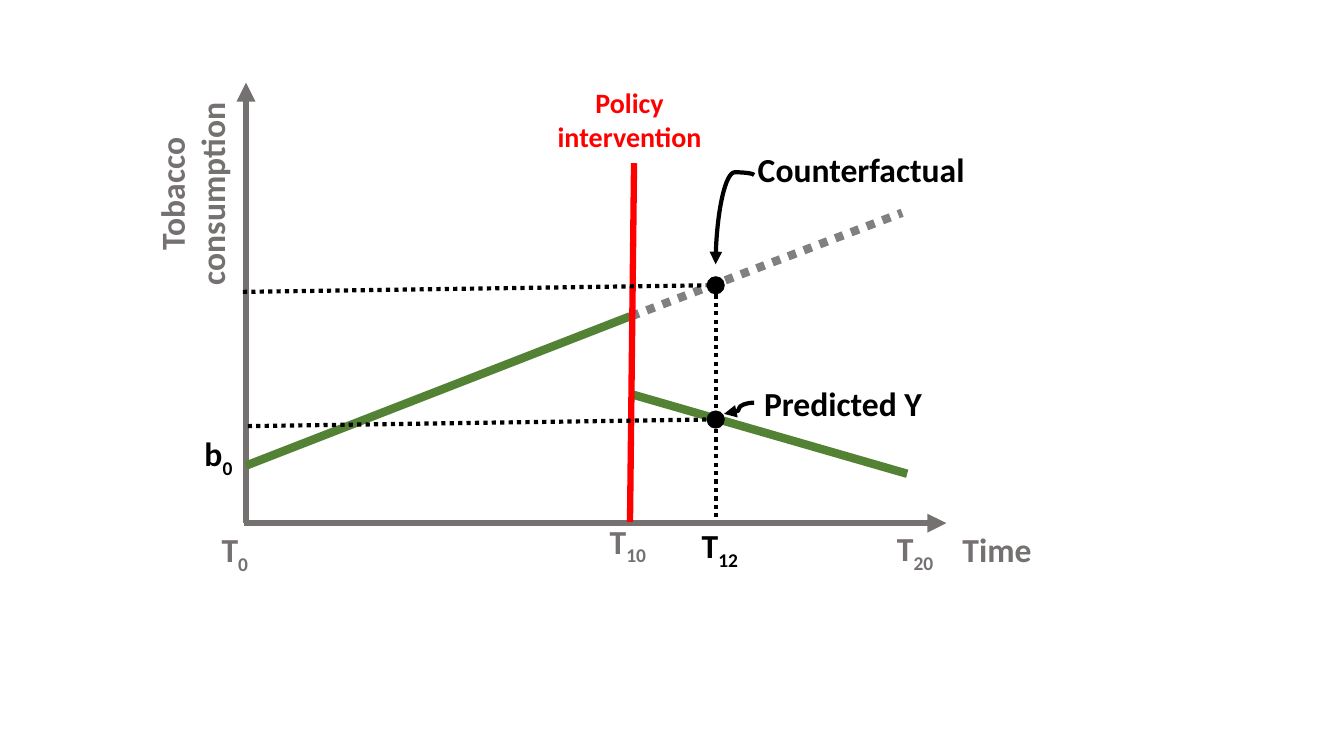
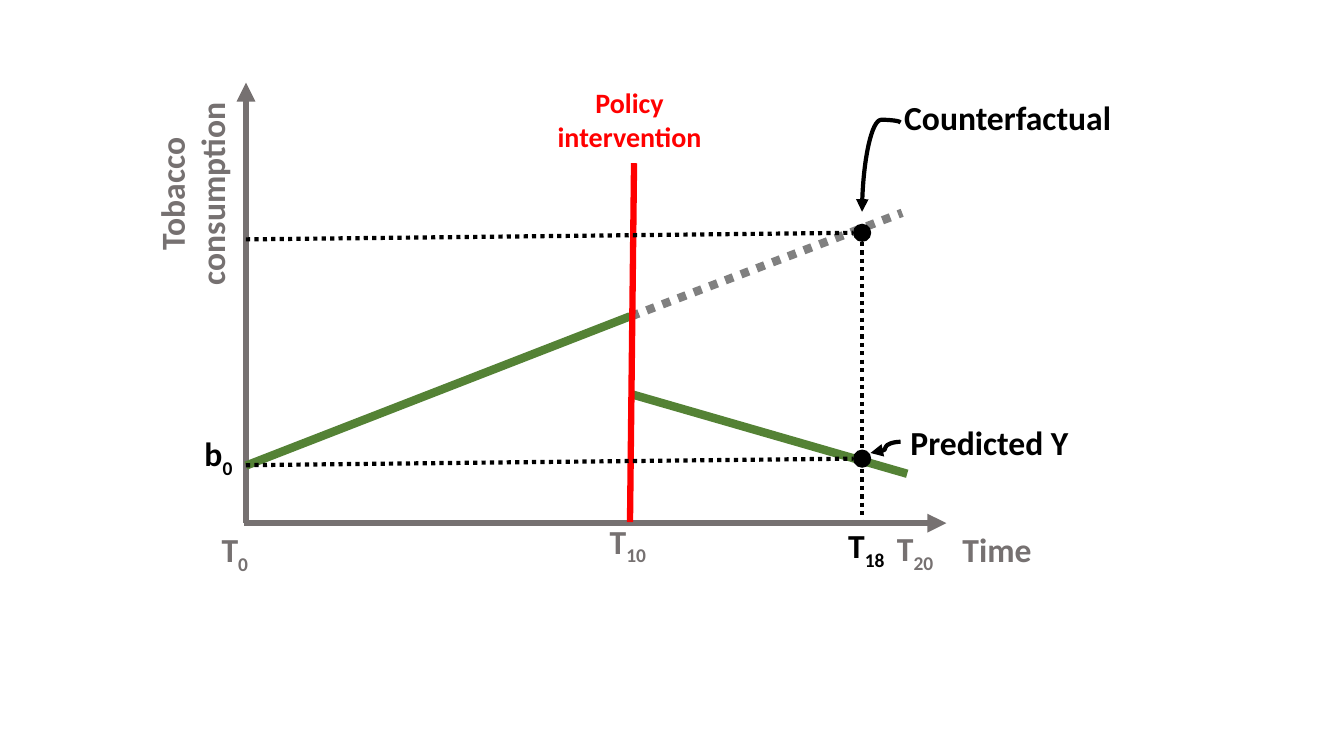
import pptx
import pptx.dml.color
import pptx.enum.dml
import pptx.enum.shapes
import pptx.enum.text
import pptx.oxml.ns
import pptx.util
import lxml.etree

Pt = pptx.util.Pt
qn = pptx.oxml.ns.qn
RGBColor = pptx.dml.color.RGBColor
CONNECTOR = pptx.enum.shapes.MSO_CONNECTOR
ALIGN = pptx.enum.text.PP_ALIGN

BLACK = RGBColor(0x00, 0x00, 0x00)
AXIS_GRAY = RGBColor(0x76, 0x71, 0x71)
TREND_GRAY = RGBColor(0x80, 0x80, 0x80)
GREEN = RGBColor(0x54, 0x82, 0x35)
RED = RGBColor(0xFF, 0x00, 0x00)


class Diagram:
    font = "Calibri"
    label_size = 24
    dot_size = 13

    def __init__(self, presentation):
        self.presentation = presentation
        self.slide = None

    def new_slide(self):
        blank_layout = self.presentation.slide_layouts[6]
        self.slide = self.presentation.slides.add_slide(blank_layout)

    def line(self, start, end, color, width, dotted=False, arrow=None, kind=CONNECTOR.STRAIGHT):
        connector = self.slide.shapes.add_connector(kind, *(Pt(v) for v in start + end))
        connector.line.color.rgb = color
        connector.line.width = Pt(width)
        if dotted:
            connector.line.dash_style = pptx.enum.dml.MSO_LINE.ROUND_DOT
        properties = connector.element.spPr
        if arrow:
            lxml.etree.SubElement(properties.find(qn("a:ln")), qn("a:" + arrow), type="triangle")
        lxml.etree.SubElement(properties, qn("a:effectLst"))
        return connector

    def curve(self, start, end, turned_bend=None):
        if turned_bend is None:
            return self.line(start, end, BLACK, 3, arrow="headEnd", kind=CONNECTOR.CURVE)
        center_x, center_y = (start[0] + end[0]) / 2, (start[1] + end[1]) / 2
        half_width, half_height = abs(end[1] - start[1]) / 2, abs(end[0] - start[0]) / 2
        connector = self.line(
            (center_x + half_width, center_y + half_height),
            (center_x - half_width, center_y - half_height),
            BLACK, 3, arrow="headEnd", kind=CONNECTOR.CURVE)
        properties = connector.element.spPr
        properties.find(qn("a:xfrm")).set("rot", "5400000")
        adjustments = properties.find(qn("a:prstGeom")).find(qn("a:avLst"))
        lxml.etree.SubElement(adjustments, qn("a:gd"), name="adj1", fmla=f"val {turned_bend}")
        return connector

    def label(self, text, left, top, width, height=36, color=BLACK, subscript=None,
              size=label_size, align=ALIGN.LEFT, rotation=0):
        box = self.slide.shapes.add_textbox(Pt(left), Pt(top), Pt(width), Pt(height))
        box.rotation = rotation
        frame = box.text_frame
        frame.word_wrap = True
        frame.auto_size = pptx.enum.text.MSO_AUTO_SIZE.SHAPE_TO_FIT_TEXT
        paragraph = frame.paragraphs[0]
        paragraph.text = text
        paragraph.alignment = align
        if subscript:
            lowered = paragraph.add_run()
            lowered.text = subscript
            lowered.font._element.set("baseline", "-25000")
        for run in paragraph.runs:
            run.font.name = self.font
            run.font.size = Pt(size)
            run.font.bold = True
            run.font.color.rgb = color

    def dot(self, x, y):
        radius = self.dot_size / 2
        shape = self.slide.shapes.add_shape(
            pptx.enum.shapes.MSO_SHAPE.OVAL,
            Pt(x - radius), Pt(y - radius), Pt(self.dot_size), Pt(self.dot_size))
        shape.shadow.inherit = False
        shape.fill.solid()
        shape.fill.fore_color.rgb = BLACK
        shape.line.fill.background()

    def policy_chart(self):
        self.line((175.7, 373.7), (175.7, 59), AXIS_GRAY, 4.5, arrow="tailEnd")
        self.line((174.2, 373.7), (676, 373.7), AXIS_GRAY, 4.5, arrow="tailEnd")
        self.label("Time", 680.4, 374.4, 89, color=AXIS_GRAY)
        for period, left, top in (("0", 151.2, 374.4), ("10", 428.4, 368.6), ("20", 633.6, 373.7)):
            self.label("T", left, top, 89, color=AXIS_GRAY, subscript=period)
        self.label("Policy intervention", 373, 57.6, 153.4, 55.4, RED, size=20, align=ALIGN.CENTER)
        self.line((175.7, 332.6), (450, 226), GREEN, 6)
        self.label("Tobacco consumption", 45.4, 105.8, 183.6, 65.5, AXIS_GRAY,
                   align=ALIGN.CENTER, rotation=270)
        self.line((450.7, 226), (644.4, 152), TREND_GRAY, 6, dotted=True)
        self.label("b", 139, 306, 98.6, subscript="0")
        self.line((450.7, 281.5), (648, 338.4), GREEN, 6)
        self.line((452.9, 116.6), (450, 373), RED, 4.5)

    def comparison(self, period, x, counterfactual, predicted, guide_starts):
        self.new_slide()
        radius = self.dot_size / 2
        self.line((x, counterfactual + radius), (x, 373), BLACK, 3, dotted=True)
        self.policy_chart()
        self.label("T", x - 17, 371.5, 89, subscript=period)
        self.curve((x, counterfactual - 15), (x + 27.5, counterfactual - 78.8), turned_bend=103100)
        self.label("Counterfactual", x + 23, counterfactual - 100.8, 175.7)
        self.label("Predicted Y", x + 27.5, predicted - 30, 175.7)
        self.curve((x + 6, predicted - 4), (x + 27.5, predicted - 12))
        for level, guide_start in zip((counterfactual, predicted), guide_starts):
            self.dot(x, level)
            self.line((guide_start, level + 4.7), (x - radius, level), BLACK, 3, dotted=True)


presentation = pptx.Presentation()
presentation.slide_width = Pt(960)
presentation.slide_height = Pt(540)

diagram = Diagram(presentation)
diagram.comparison("12", 511.2, 203.8, 299.7, (173.5, 177))
diagram.comparison("18", 615.8, 166.3, 327.6, (175.7, 175.7))

presentation.save("out.pptx")
